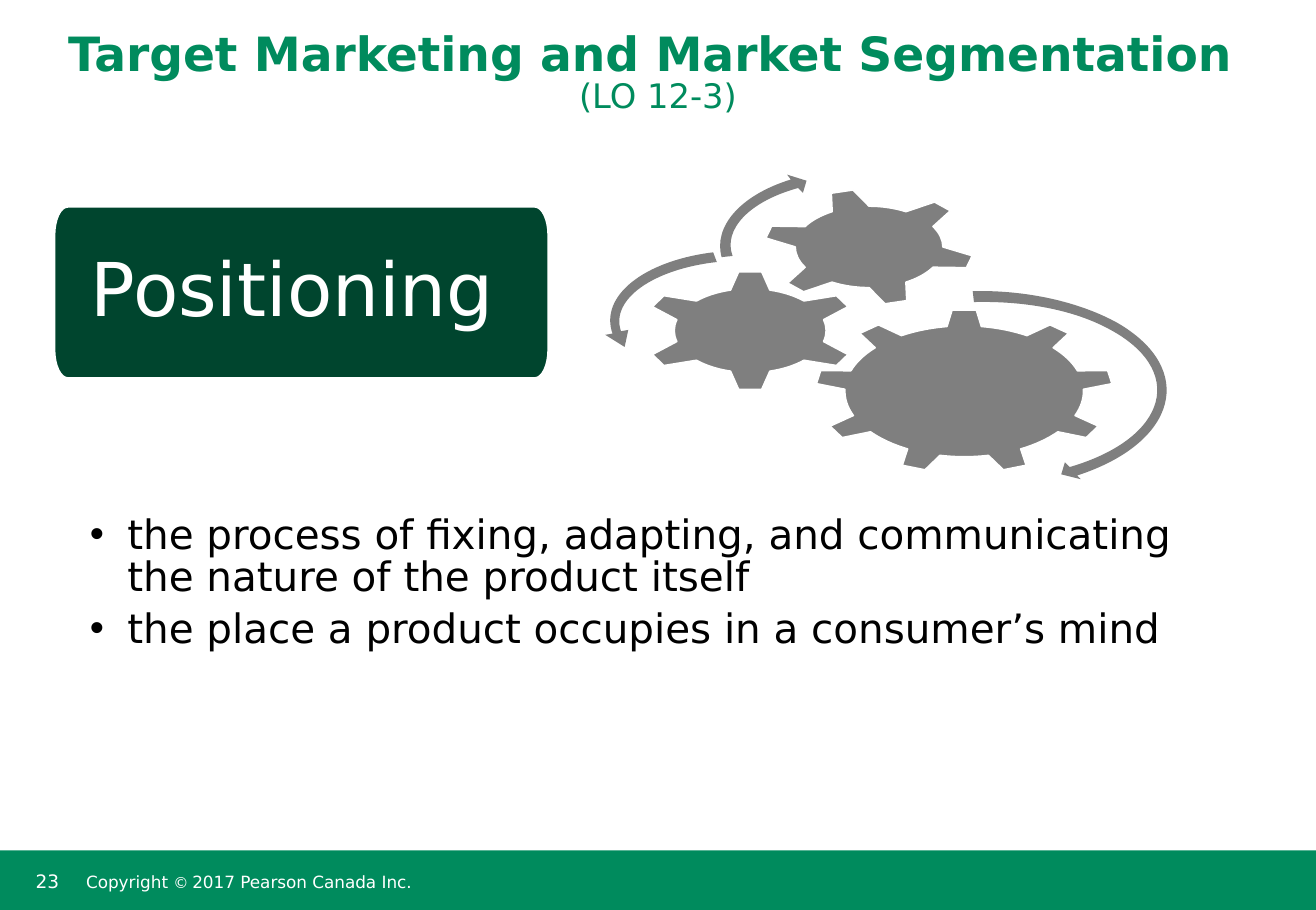
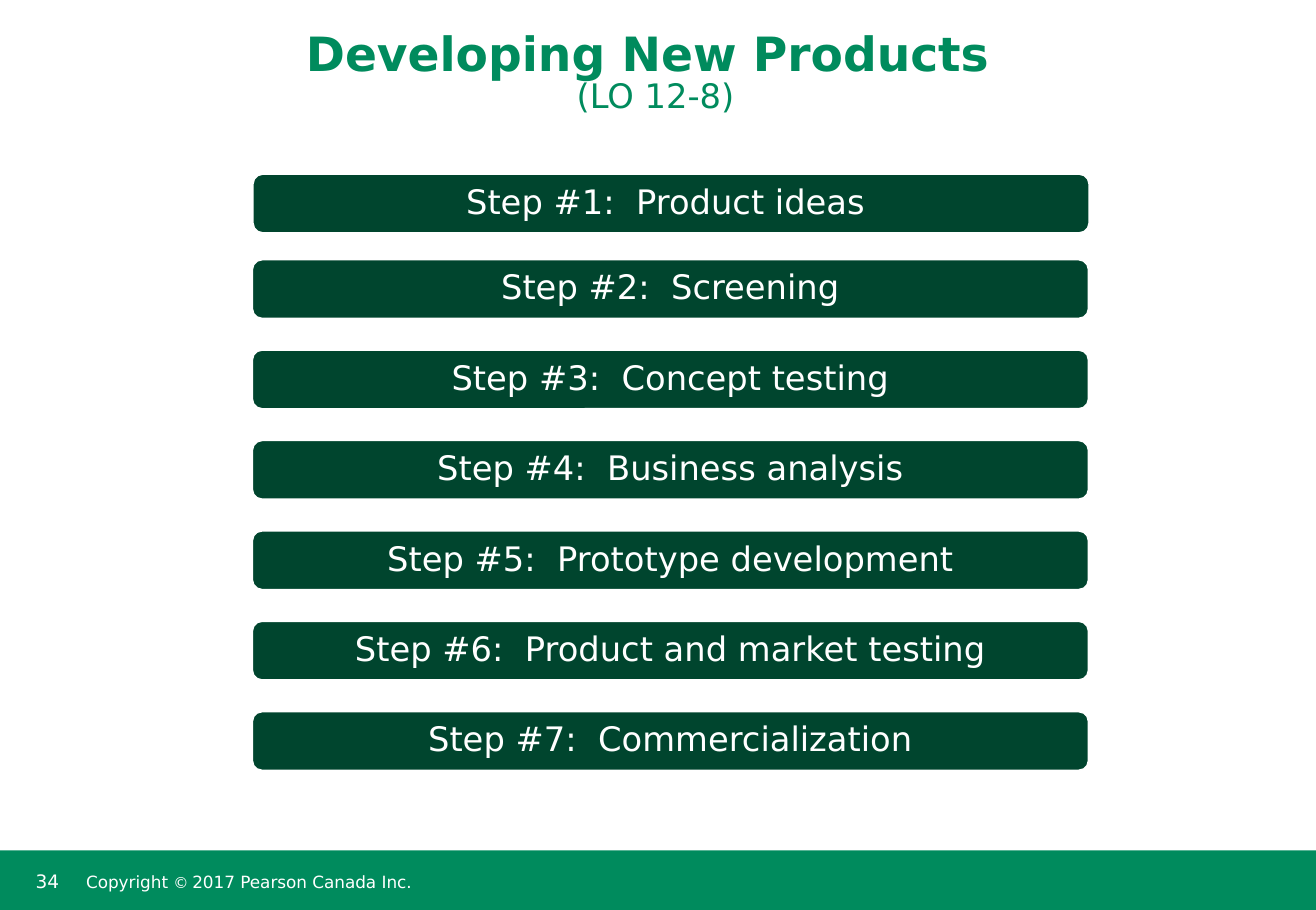
from dataclasses import dataclass
from math import atan, cos, hypot, radians, degrees, sin, tan

from lxml.etree import SubElement
from pptx import Presentation
from pptx.dml.color import RGBColor
from pptx.enum.shapes import MSO_SHAPE as Preset
from pptx.enum.text import MSO_ANCHOR as Anchor, MSO_AUTO_SIZE as AutoSize, PP_ALIGN as Align
from pptx.oxml.ns import qn
from pptx.util import Emu, Pt

PX = 4572
WIDTH, HEIGHT = 2170, 1500
FONT = "DejaVu Sans"
GREEN = RGBColor(0x00, 0x8B, 0x5D)
DARK_GREEN = RGBColor(0x00, 0x45, 0x2E)
GRAY = RGBColor(0x7F, 0x7F, 0x7F)
WHITE = RGBColor(0xFF, 0xFF, 0xFF)
BLACK = RGBColor(0x00, 0x00, 0x00)

Segment = tuple[float, ...]


@dataclass(frozen=True)
class Box:
    left: int
    top: int
    width: int
    height: int

    def emu(self) -> tuple[Emu, ...]:
        return tuple(Emu(v * PX) for v in (self.left, self.top, self.width, self.height))

    def ellipse_point(self, angle: float, radius: float = 1) -> Segment:
        half_width, half_height = self.width / 2, self.height / 2
        turn = radians(angle)
        return (self.left + half_width * (1 + radius * sin(turn)),
                self.top + half_height * (1 - radius * cos(turn)))

    def arc(self, start: float, end: float, radius: float = 1) -> Segment:
        reach = 4 / 3 * tan(radians(end - start) / 4)
        swing, far = degrees(atan(reach)), radius * hypot(1, reach)
        return (self.ellipse_point(start + swing, far) + self.ellipse_point(end - swing, far)
                + self.ellipse_point(end, radius))


@dataclass(frozen=True)
class Gear:
    frame: Box
    wheel: Box
    teeth: int
    body: float
    tip: float
    base_angle: float
    tip_angle: float
    turn: int = 0


@dataclass(frozen=True)
class Swoosh:
    frame: Box
    start: Segment
    segments: tuple[Segment, ...]


@dataclass(frozen=True)
class Span:
    text: str
    size: int
    bold: bool = False


BAND = Box(0, 1402, WIDTH, 100)
NUMBER = Box(39, 1424, 94, 64)
COPYRIGHT = Box(132, 1401, 1156, 100)
PLAQUE = Box(90, 341, 814, 282)
BODY = Box(90, 576, 1954, 684)
TITLE_HEIGHT = 200

LARGE_WHEEL = Box(1344, 510, 492, 270)
SMALL_WHEEL = Box(1058, 446, 358, 198)
GEARS = (
    Gear(LARGE_WHEEL, LARGE_WHEEL, 9, 0.8, 0.995, 8.3, 4.7),
    Gear(SMALL_WHEEL, SMALL_WHEEL, 6, 0.7, 0.985, 15, 6.2),
    Gear(Box(1218, 288, 430, 236), Box(1259, 311, 348, 192), 6, 0.7, 0.99, 15, 6.2, -15),
)
SWOOSHES = (
    Swoosh(Box(1306, 470, 630, 346), (1604, 480), (
        (1694, 478, 1780, 498, 1842, 532), (1974, 608, 1942, 730, 1776, 784),
        (1782, 790), (1750, 782), (1756, 762), (1764, 770),
        (1928, 722, 1958, 608, 1824, 540), (1766, 510, 1688, 496, 1606, 498))),
    Swoosh(Box(994, 404, 456, 252), (1176, 416), (
        (1182, 432), (1076, 444, 1006, 494, 1024, 546), (1036, 544), (1030, 572),
        (998, 552), (1010, 550), (988, 488, 1062, 430, 1176, 416))),
    Swoosh(Box(1178, 268, 494, 272), (1190, 424), (
        (1176, 374, 1220, 322, 1304, 296), (1298, 288), (1330, 298), (1324, 318),
        (1316, 310), (1236, 332, 1192, 378, 1208, 422))),
)
DEFINITIONS = (
    "the process of fixing, adapting, and communicating the nature of the product itself",
    "the place a product occupies in a consumer’s mind",
)
STEPS = ("Product ideas ", "Screening", "Concept testing", "Business analysis",
         "Prototype development", "Product and market testing", "Commercialization")
STEP_BOX = Box(416, 428, 1379, 97)
STEP_PITCH = 149
FIRST_STEP = Box(417, 287, 1379, 97)


def style_font(font, size: int, color: RGBColor, bold: bool = False) -> None:
    font.name, font.size, font.bold = FONT, Pt(size), bold
    font.color.rgb = color


def set_frame(shape, insets: tuple[int, int, int, int], anchor):
    frame = shape.text_frame
    frame.word_wrap = True
    frame.auto_size = AutoSize.NONE
    frame.vertical_anchor = anchor
    frame.margin_left, frame.margin_top, frame.margin_right, frame.margin_bottom = (
        Emu(v * PX) for v in insets)
    return frame


def set_para(para, text: str, size: int, color: RGBColor, align=Align.LEFT,
             spacing: float = 1.0, after: float = 0) -> None:
    para.text = text
    para.alignment = align
    para.line_spacing = spacing
    para.space_before, para.space_after = Pt(0), Pt(after)
    style_font(para.font, size, color)


def add_spans(para, spans: tuple[Span, ...], color: RGBColor, broken: bool = False) -> None:
    for index, span in enumerate(spans):
        if broken and index:
            para.add_line_break()
        run = para.add_run()
        run.text = span.text
        style_font(run.font, span.size, color, span.bold)


def paint(shape, fill: RGBColor, outlined: bool) -> None:
    shape.shadow.inherit = False
    shape.fill.solid()
    shape.fill.fore_color.rgb = fill
    if outlined:
        shape.line.color.rgb = WHITE
        shape.line.width = Pt(1)
    else:
        shape.line.fill.background()


def add_outline(page, box: Box, start: Segment, segments: list[Segment],
                fill: RGBColor, outlined: bool):
    builder = page.shapes.build_freeform(box.left, box.top, scale=PX)
    builder.add_line_segments([(box.left + box.width, box.top + box.height)])
    shape = builder.convert_to_shape()
    track = shape._element.find(".//" + qn("a:path"))
    track.set("w", str(box.width * PX))
    track.set("h", str(box.height * PX))
    for child in list(track):
        track.remove(child)
    commands = [("a:moveTo", start)]
    commands += [("a:lnTo" if len(s) == 2 else "a:cubicBezTo", s) for s in segments]
    for tag, numbers in commands:
        command = SubElement(track, qn(tag))
        for x, y in zip(numbers[::2], numbers[1::2]):
            SubElement(command, qn("a:pt"), x=str(round((x - box.left) * PX)),
                       y=str(round((y - box.top) * PX)))
    SubElement(track, qn("a:close"))
    paint(shape, fill, outlined)
    return shape


def add_gear(page, gear: Gear) -> None:
    wheel, pitch = gear.wheel, 360 / gear.teeth
    start = wheel.ellipse_point(gear.turn - gear.base_angle, gear.body)
    segments: list[Segment] = []
    for tooth in range(gear.teeth):
        middle = gear.turn + tooth * pitch
        base = middle + gear.base_angle
        segments += [
            wheel.ellipse_point(middle - gear.tip_angle, gear.tip),
            wheel.ellipse_point(middle + gear.tip_angle, gear.tip),
            wheel.ellipse_point(base, gear.body),
            wheel.arc(base, middle + pitch - gear.base_angle, gear.body),
        ]
    add_outline(page, gear.frame, start, segments, GRAY, True)


def add_plaque(page, box: Box, text: str) -> None:
    width, height = 44, 94
    right, bottom = box.left + box.width - width, box.top + box.height - height
    segments: list[Segment] = []
    for left, top, turn in ((right, box.top, 0), (right, bottom, 90),
                            (box.left, bottom, 180), (box.left, box.top, 270)):
        corner = Box(left, top, width, height)
        segments += [corner.ellipse_point(turn), corner.arc(turn, turn + 45),
                     corner.arc(turn + 45, turn + 90)]
    shape = add_outline(page, box, segments[0], segments[1:], DARK_GREEN, True)
    frame = set_frame(shape, (60, 60, 60, 60), Anchor.MIDDLE)
    set_para(frame.paragraphs[0], text, 44, WHITE, spacing=0.9)


def add_step(page, box: Box, text: str) -> None:
    shape = page.shapes.add_shape(Preset.ROUNDED_RECTANGLE, *box.emu())
    paint(shape, DARK_GREEN, True)
    frame = set_frame(shape, (52, 4, 52, 4), Anchor.MIDDLE)
    set_para(frame.paragraphs[0], text, 20, WHITE, Align.CENTER, 0.9)


def fill_title(page, left: int, title: str, objective: str) -> None:
    holder = page.shapes.title
    holder.left, holder.top, holder.width, holder.height = Box(left, 0, WIDTH, TITLE_HEIGHT).emu()
    para = set_frame(holder, (20, 10, 20, 10), Anchor.BOTTOM).paragraphs[0]
    para.alignment = Align.CENTER
    para.line_spacing = 0.85
    para.space_after = Pt(6.5)
    add_spans(para, (Span(title + " ", 28, True), Span(objective, 20)), GREEN, broken=True)


def fill_body(page, box: Box, items: tuple[str, ...]) -> None:
    holder = page.placeholders[1]
    holder.left, holder.top, holder.width, holder.height = box.emu()
    frame = set_frame(holder, (58, 276, 86, 16), Anchor.TOP)
    for index, item in enumerate(items):
        para = frame.add_paragraph() if index else frame.paragraphs[0]
        properties = para._p.get_or_add_pPr()
        properties.set("marL", str(62 * PX))
        properties.set("indent", str(-62 * PX))
        set_para(para, item, 24, BLACK, spacing=0.85, after=6.5)


def add_footer(page, number: int) -> None:
    band = page.shapes.add_shape(Preset.RECTANGLE, *BAND.emu())
    paint(band, GREEN, False)
    label = page.shapes.add_textbox(*NUMBER.emu())
    frame = set_frame(label, (20, 10, 20, 10), Anchor.TOP)
    set_para(frame.paragraphs[0], str(number), 11, WHITE)
    notice = page.shapes.add_textbox(*COPYRIGHT.emu())
    para = set_frame(notice, (10, 20, 10, 10), Anchor.MIDDLE).paragraphs[0]
    para.line_spacing = 0.85
    add_spans(para, (Span("Copyright ", 10), Span("©", 9), Span(" ", 7),
                     Span("2017 Pearson Canada Inc.", 10)), WHITE)


def build_positioning(deck) -> None:
    page = deck.slides.add_slide(deck.slide_layouts[1])
    add_footer(page, 23)
    fill_title(page, 0, "Target Marketing and Market Segmentation", "(LO 12-3)")
    add_plaque(page, PLAQUE, "Positioning")
    fill_body(page, BODY, DEFINITIONS)
    for gear in GEARS:
        add_gear(page, gear)
    for swoosh in SWOOSHES:
        add_outline(page, swoosh.frame, swoosh.start, list(swoosh.segments), GRAY, False)


def build_steps(deck) -> None:
    page = deck.slides.add_slide(deck.slide_layouts[5])
    add_footer(page, 34)
    fill_title(page, -4, "Developing New Products", "(LO 12-8)")
    for index, name in enumerate(STEPS):
        top = STEP_BOX.top + (index - 1) * STEP_PITCH
        box = Box(STEP_BOX.left, top, STEP_BOX.width, STEP_BOX.height) if index else FIRST_STEP
        add_step(page, box, f"Step #{index + 1}:  {name}")


def main() -> None:
    deck = Presentation()
    deck.slide_width, deck.slide_height = Emu(WIDTH * PX), Emu(HEIGHT * PX)
    build_positioning(deck)
    build_steps(deck)
    deck.save("out.pptx")


if __name__ == "__main__":
    main()
